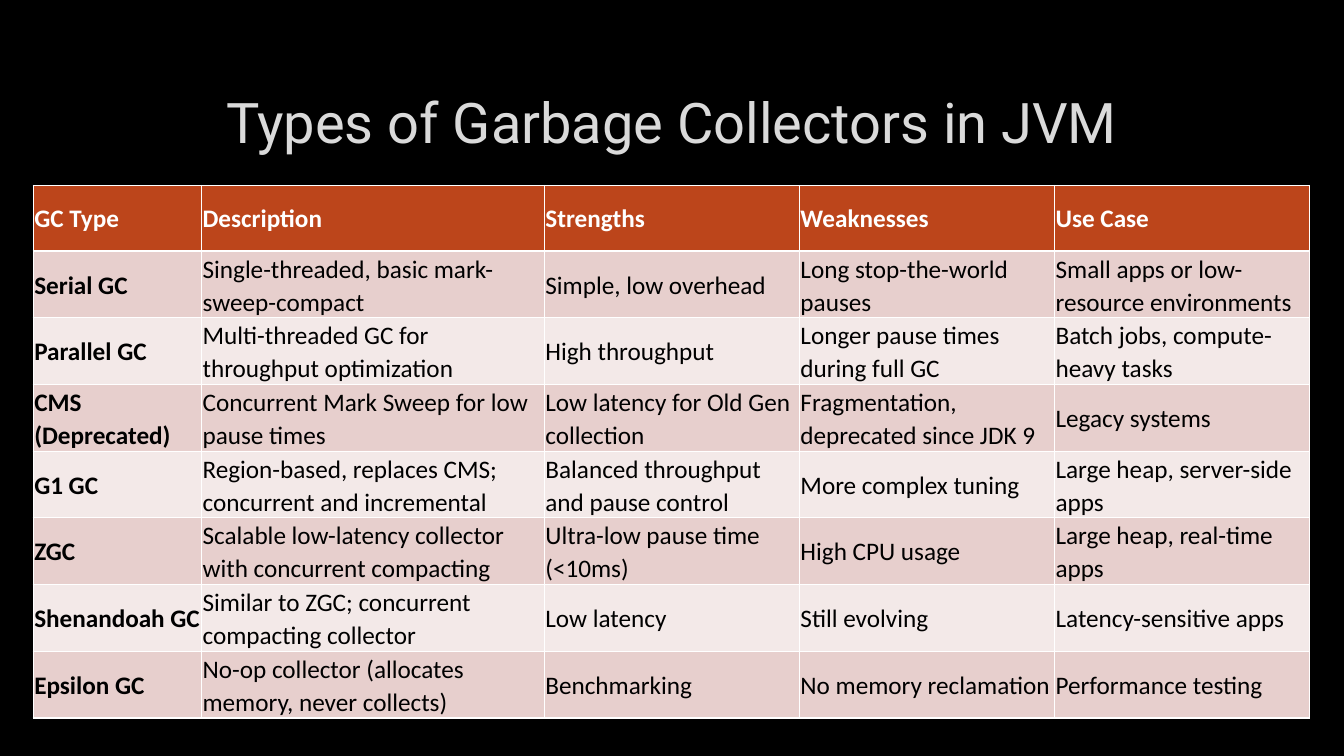
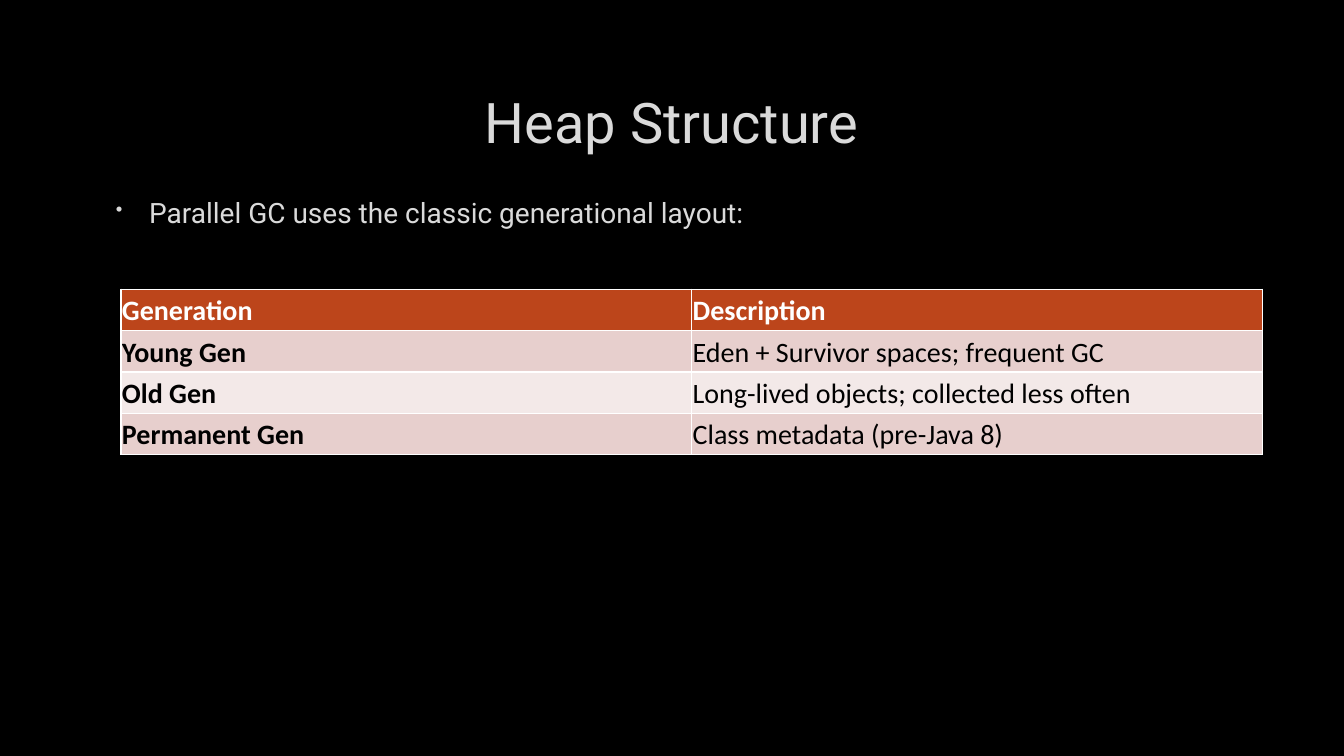
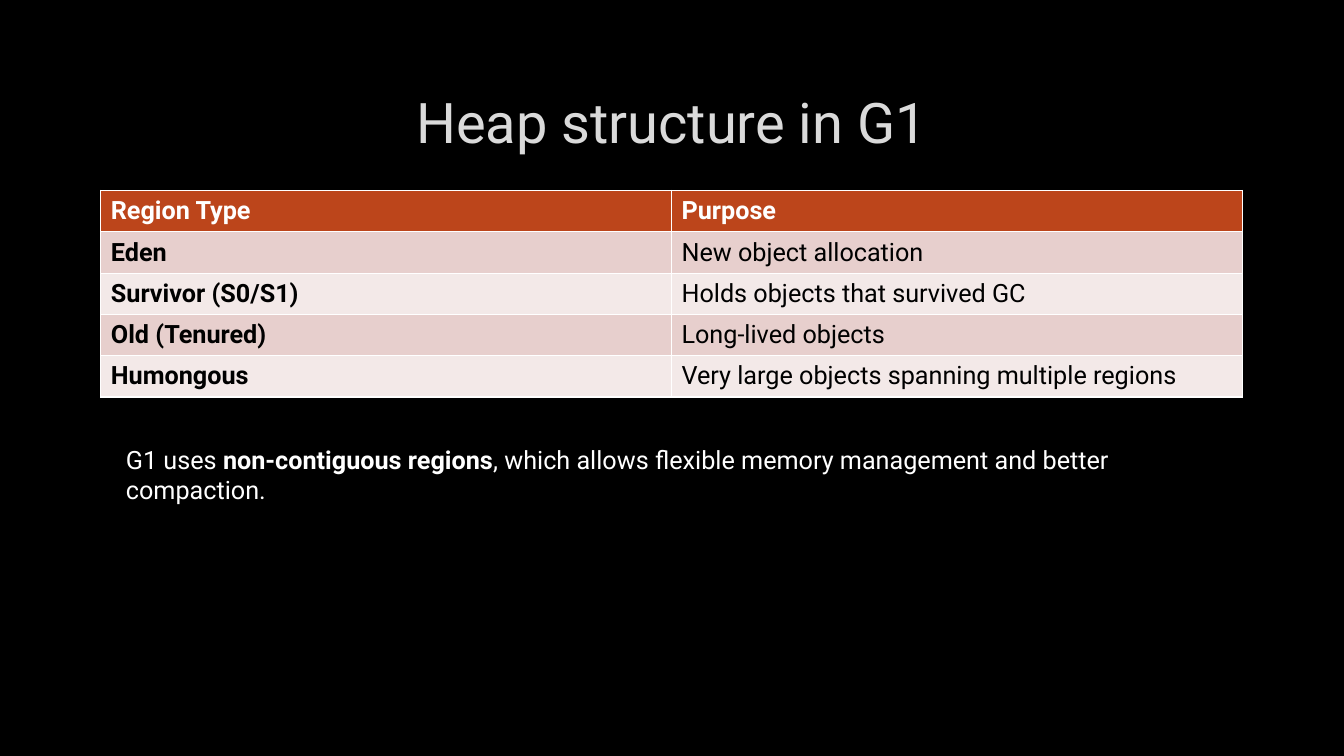
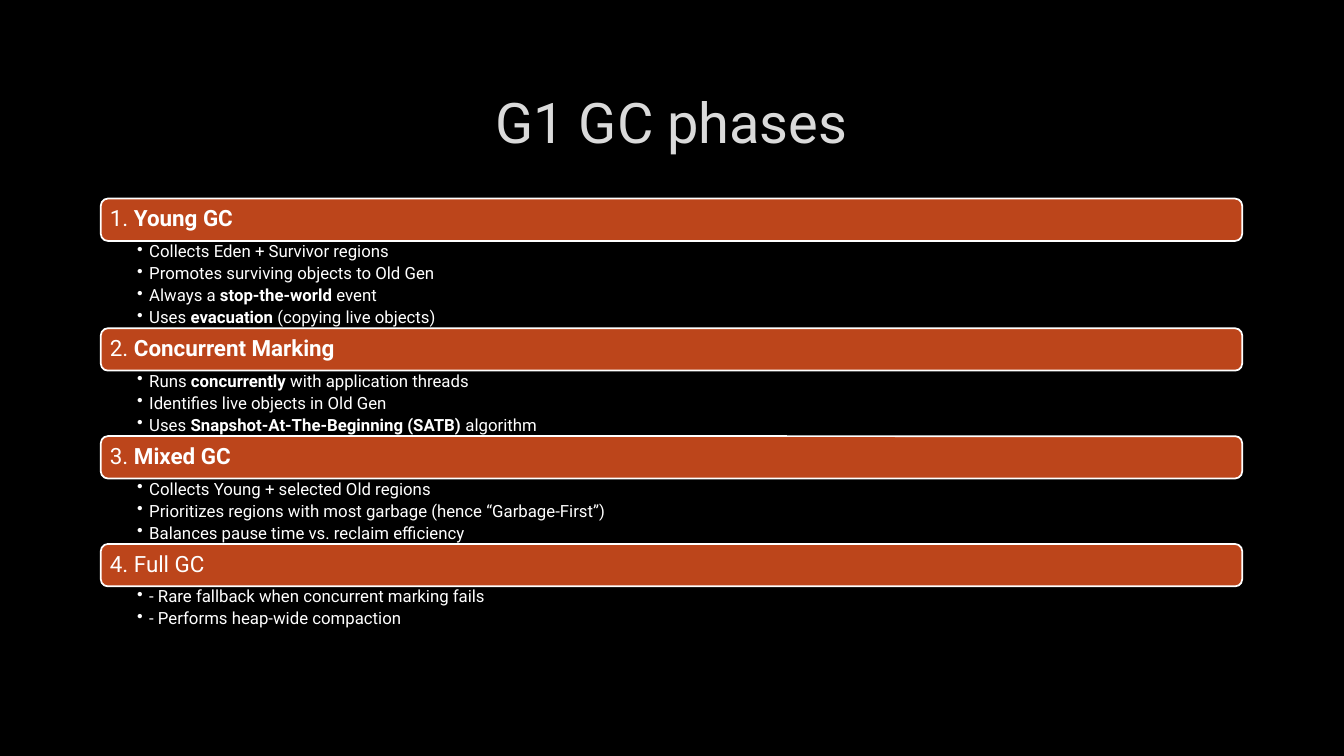
import pptx
import pptx.dml.color
import pptx.enum.shapes
import pptx.enum.text
import pptx.oxml.ns
import pptx.util
from lxml import etree

Inches = pptx.util.Inches
Pt = pptx.util.Pt
MIDDLE = pptx.enum.text.MSO_ANCHOR.MIDDLE
TOP = pptx.enum.text.MSO_ANCHOR.TOP

COLORS = {
    "background": "000000",
    "title": "DADADA",
    "accent": "BC451B",
    "band_dark": "E7CFCD",
    "band_light": "F3E9E8",
    "white": "FFFFFF",
    "black": "000000",
}
MARGIN, CONTENT_WIDTH = 1, 11.32


def rgb(name):
    return pptx.dml.color.RGBColor.from_string(COLORS[name])


class Deck:
    """Holds the shared style and the current slide."""

    font = "Roboto"

    def __init__(self):
        self.prs = pptx.Presentation()
        self.prs.slide_width = Inches(13.33)
        self.prs.slide_height = Inches(7.5)
        self.slide = None

    def new_slide(self, title):
        self.slide = self.prs.slides.add_slide(self.prs.slide_layouts[6])
        background = self.slide.background.fill
        background.solid()
        background.fore_color.rgb = rgb("background")
        frame = self.text_box(MARGIN, 0.67, CONTENT_WIDTH, 1.06, anchor=MIDDLE)
        heading = frame.paragraphs[0]
        heading.alignment = pptx.enum.text.PP_ALIGN.CENTER
        self.add_runs(heading, title, 40, "title")

    def add_runs(self, paragraph, text, size, color, font=None, bold=False):
        """Add runs; parts between ** marks are bold."""
        for index, part in enumerate(text.split("**")):
            if part:
                run = paragraph.add_run()
                run.text = part
                run.font.name = font or self.font
                run.font.size = Pt(size)
                run.font.bold = bold or index % 2 == 1
                run.font.color.rgb = rgb(color)

    def set_frame(self, frame, anchor, insets=(0.1, 0.05, 0.1, 0.05)):
        frame.word_wrap = True
        frame.vertical_anchor = anchor
        (frame.margin_left, frame.margin_top,
         frame.margin_right, frame.margin_bottom) = map(Inches, insets)
        return frame

    def text_box(self, left, top, width, height, anchor=TOP, **options):
        box = self.slide.shapes.add_textbox(*map(Inches, (left, top, width, height)))
        return self.set_frame(box.text_frame, anchor, **options)

    def bullet(self, paragraph, margin, indent, color, percent=100):
        props = paragraph._p.get_or_add_pPr()
        props.set("marL", str(Inches(margin)))
        props.set("indent", str(Inches(indent)))
        qn = pptx.oxml.ns.qn
        tint = etree.SubElement(props, qn("a:buClr"))
        etree.SubElement(tint, qn("a:srgbClr"), val=COLORS[color])
        etree.SubElement(props, qn("a:buSzPct"), val=str(percent * 1000))
        etree.SubElement(props, qn("a:buChar"), char="•")

    def table(self, left, top, columns, row_height, rows, size, font=None, tight=False):
        """Header row, banded body, bold first column; the default style draws the borders."""
        grid = self.slide.shapes.add_table(
            len(rows), len(columns), Inches(left), Inches(top),
            Inches(sum(columns)), Inches(row_height * len(rows))).table
        for column, width in zip(grid.columns, columns):
            column.width = Inches(width)
        for r, row in enumerate(rows):
            grid.rows[r].height = Inches(row_height)
            fill = "accent" if r == 0 else ("band_light", "band_dark")[r % 2]
            for c, text in enumerate(row):
                cell = grid.cell(r, c)
                cell.fill.solid()
                cell.fill.fore_color.rgb = rgb(fill)
                cell.vertical_anchor = MIDDLE
                paragraph = cell.text_frame.paragraphs[0]
                if tight:
                    cell.margin_left = cell.margin_right = Inches(0.01)
                    cell.margin_top = cell.margin_bottom = Inches(0.01)
                    paragraph.line_spacing = 1.07
                    paragraph.space_after = Pt(8)
                self.add_runs(paragraph, text, size, "black" if r else "white",
                              font, bold=r == 0 or c == 0)

    def phase_bar(self, top, height, text):
        bar = self.slide.shapes.add_shape(
            pptx.enum.shapes.MSO_SHAPE.ROUNDED_RECTANGLE,
            *map(Inches, (MARGIN, top, CONTENT_WIDTH, height)))
        bar.shadow.inherit = False
        bar.fill.solid()
        bar.fill.fore_color.rgb = rgb("accent")
        bar.line.color.rgb = rgb("white")
        bar.line.width = Pt(1.25)
        label = self.set_frame(bar.text_frame, MIDDLE, (0.07,) * 4).paragraphs[0]
        label.alignment = pptx.enum.text.PP_ALIGN.LEFT
        label.line_spacing = 0.9
        self.add_runs(label, text, 16, "white")

    def phase_steps(self, top, height, steps):
        frame = self.text_box(MARGIN, top, CONTENT_WIDTH, height,
                              insets=(0.36, 0.02, 0.12, 0.02))
        for index, step in enumerate(steps):
            paragraph = frame.add_paragraph() if index else frame.paragraphs[0]
            paragraph.line_spacing = 0.9
            paragraph.space_after = Pt(2.8)
            self.bullet(paragraph, 0.12, -0.12, "white")
            self.add_runs(paragraph, step, 12, "white")


COLLECTORS = [
    ("GC Type", "Description", "Strengths", "Weaknesses", "Use Case"),
    ("Serial GC", "Single-threaded, basic mark-sweep-compact", "Simple, low overhead",
     "Long stop-the-world pauses", "Small apps or low-resource environments"),
    ("Parallel GC", "Multi-threaded GC for throughput optimization", "High throughput",
     "Longer pause times during full GC", "Batch jobs, compute-heavy tasks"),
    ("CMS (Deprecated)", "Concurrent Mark Sweep for low pause times",
     "Low latency for Old Gen collection", "Fragmentation, deprecated since JDK 9",
     "Legacy systems"),
    ("G1 GC", "Region-based, replaces CMS; concurrent and incremental",
     "Balanced throughput and pause control", "More complex tuning",
     "Large heap, server-side apps"),
    ("ZGC", "Scalable low-latency collector with concurrent compacting",
     "Ultra-low pause time (<10ms)", "High CPU usage", "Large heap, real-time apps"),
    ("Shenandoah GC", "Similar to ZGC; concurrent compacting collector", "Low latency",
     "Still evolving", "Latency-sensitive apps"),
    ("Epsilon GC", "No-op collector (allocates memory, never collects)", "Benchmarking",
     "No memory reclamation", "Performance testing"),
]
GENERATIONS = [
    ("Generation", "Description"),
    ("Young Gen", "Eden + Survivor spaces; frequent GC"),
    ("Old Gen", "Long-lived objects; collected less often"),
    ("Permanent Gen", "Class metadata (pre-Java 8)"),
]
REGIONS = [
    ("Region Type", "Purpose"),
    ("Eden", "New object allocation"),
    ("Survivor (S0/S1)", "Holds objects that survived GC"),
    ("Old (Tenured)", "Long-lived objects"),
    ("Humongous", "Very large objects spanning multiple regions"),
]
PHASES = [
    ("1. **Young GC**", [
        "Collects Eden + Survivor regions",
        "Promotes surviving objects to Old Gen",
        "Always a **stop-the-world** event",
        "Uses **evacuation** (copying live objects)"]),
    ("2. **Concurrent Marking**", [
        "Runs **concurrently** with application threads",
        "Identifies live objects in Old Gen",
        "Uses **Snapshot-At-The-Beginning (SATB)** algorithm"]),
    ("3. **Mixed GC**", [
        "Collects Young + selected Old regions",
        "Prioritizes regions with most garbage (hence “Garbage-First”)",
        "Balances pause time vs. reclaim efficiency"]),
    ("4. Full GC", [
        "- Rare fallback when concurrent marking fails",
        "- Performs heap-wide compaction"]),
]


def main():
    deck = Deck()
    halves = [CONTENT_WIDTH / 2] * 2

    # Collector comparison
    deck.new_slide("Types of Garbage Collectors in JVM")
    deck.table(0.33, 1.84, [1.67, 3.4] + [2.53] * 3, 0.65, COLLECTORS, 18,
               font="Calibri", tight=True)

    # Generational heap
    deck.new_slide("Heap Structure")
    intro = deck.text_box(MARGIN, 1.89, CONTENT_WIDTH, 4.44).paragraphs[0]
    intro.space_before, intro.space_after = Pt(4), Pt(6)
    deck.bullet(intro, 0.38, -0.33, "title", percent=70)
    deck.add_runs(intro, "Parallel GC uses the classic generational layout:", 20, "title")
    deck.table(1.2, 2.87, halves, 0.41, GENERATIONS, 20, font="Calibri", tight=True)

    # G1 regions
    deck.new_slide("Heap structure in G1")
    deck.table(MARGIN, 1.89, halves, 0.41, REGIONS, 18)
    summary = deck.text_box(1.15, 4.36, 11.12, 0.4).paragraphs[0]
    deck.add_runs(summary, "G1 uses **non-contiguous regions**, which allows flexible "
                  "memory management and better compaction.", 18, "white")

    # G1 phases, stacked without gaps
    deck.new_slide("G1 GC phases")
    top, bar_height, step_height = 1.97, 0.42, 0.65 / 3
    for phase, steps in PHASES:
        deck.phase_bar(top, bar_height, phase)
        top += bar_height
        deck.phase_steps(top, step_height * len(steps), steps)
        top += step_height * len(steps)

    deck.prs.save("out.pptx")


if __name__ == "__main__":
    main()
